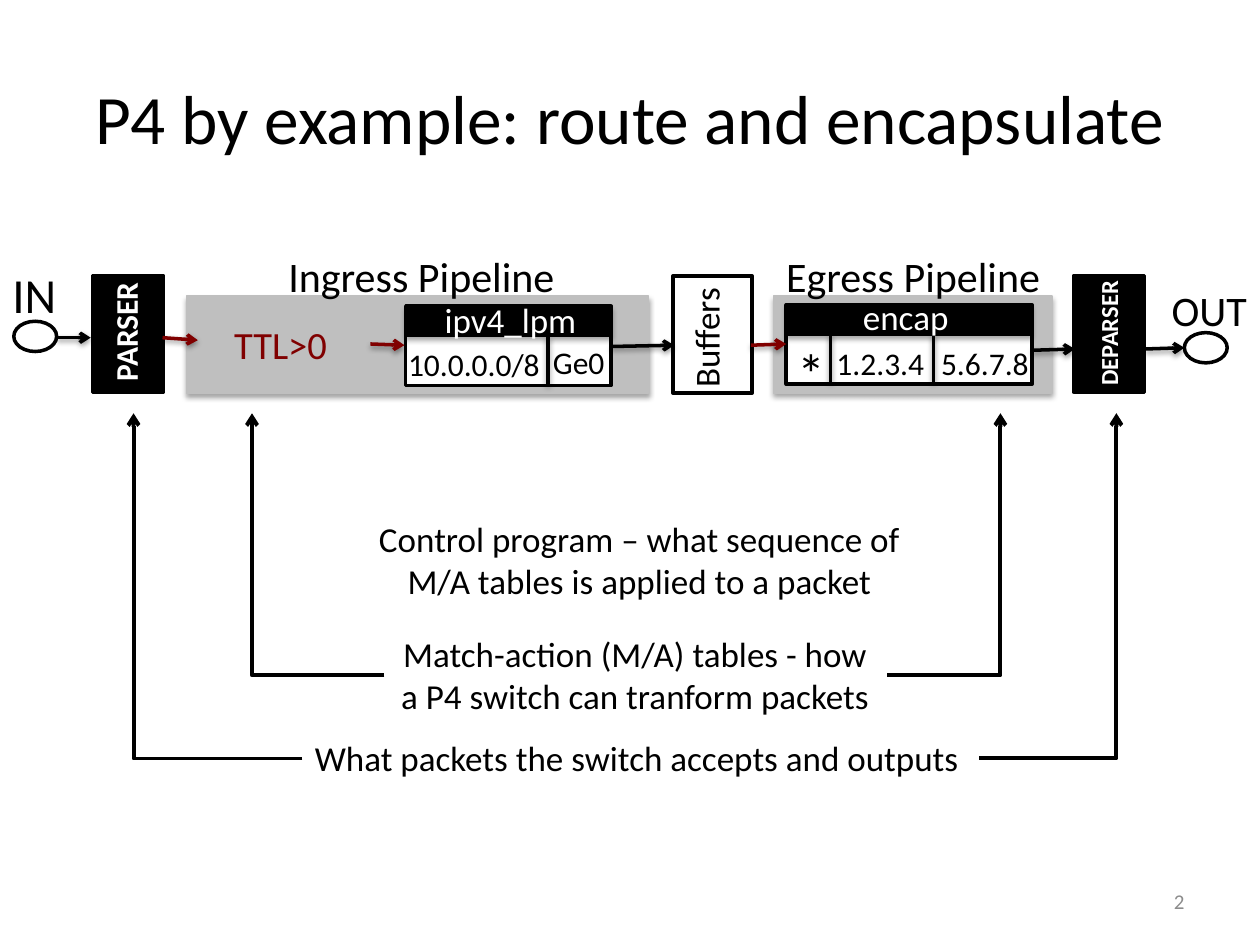
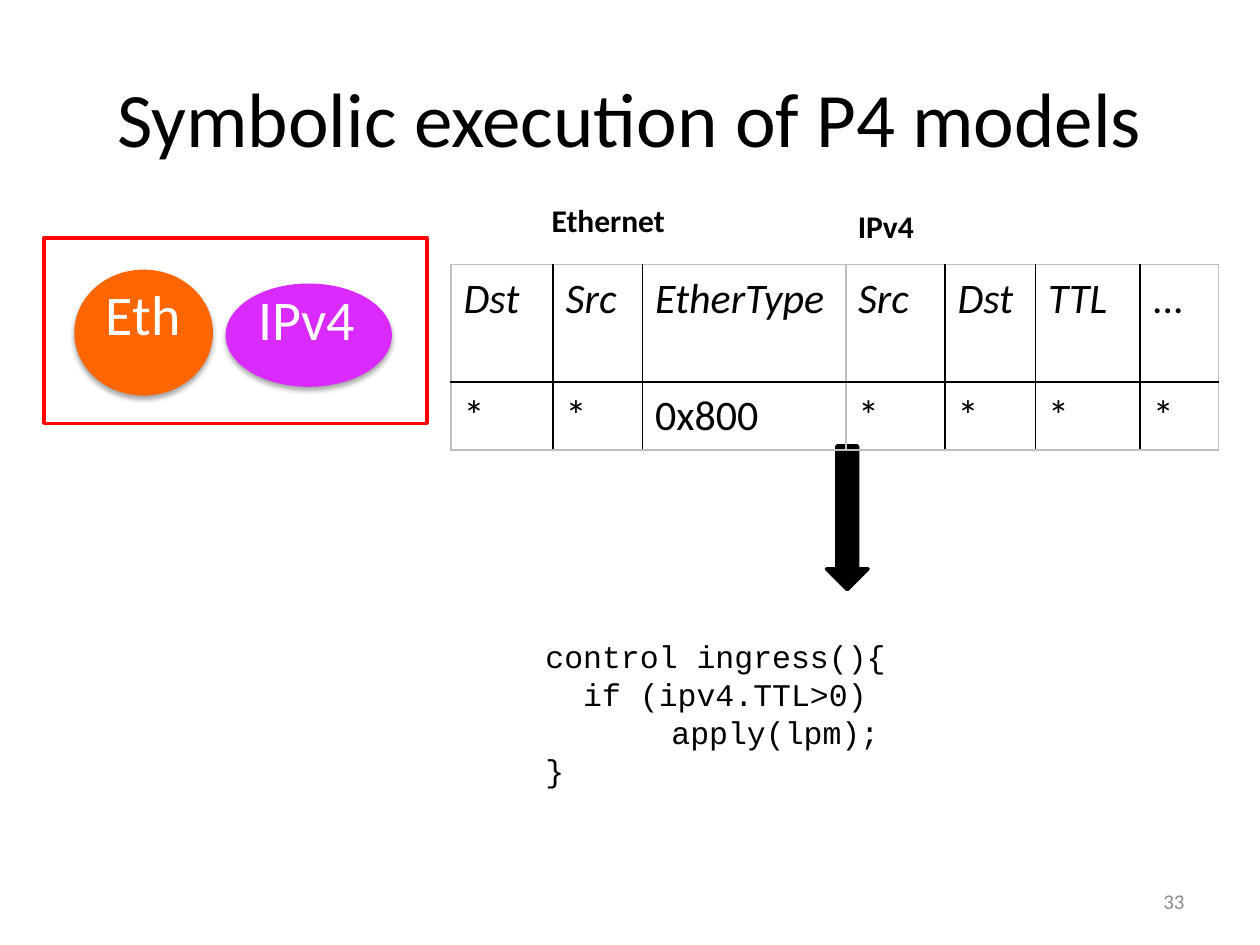
from lxml.etree import SubElement
from pptx import Presentation
from pptx.dml.color import RGBColor
from pptx.enum.shapes import MSO_CONNECTOR as MC, MSO_SHAPE as MS
from pptx.enum.text import MSO_ANCHOR as MA, PP_ALIGN as PA
from pptx.oxml.ns import qn
from pptx.util import Inches, Pt

BLACK = RGBColor(0x00, 0x00, 0x00)
WHITE = RGBColor(0xFF, 0xFF, 0xFF)
PANEL = RGBColor(0xBF, 0xBF, 0xBF)
NUMBER = RGBColor(0x8C, 0x8C, 0x8C)
MAROON = RGBColor(0x80, 0x00, 0x00)
RED = RGBColor(0xFF, 0x00, 0x00)
ORANGE = RGBColor(0xFF, 0x66, 0x00)
PURPLE = RGBColor(0xD9, 0x2A, 0xFF)
FONT, CODE = "Calibri", "Courier New"

prs = Presentation()
prs.slide_width, prs.slide_height = Inches(10), Inches(7.5)
COLS = 100
U = prs.slide_width // COLS


def write(tf, content, size, color=BLACK, bold=False, italic=False, align=None, font=FONT):
    for i, line in enumerate(content.split("\n")):
        p = tf.add_paragraph() if i else tf.paragraphs[0]
        p.alignment = align
        r = p.add_run()
        r.text = line
        r.font.name, r.font.size = font, Pt(size)
        r.font.bold, r.font.italic = bold, italic
        r.font.color.rgb = color


def set_effect(sp, dist=0, alpha=0):
    effects = SubElement(sp._element.spPr, qn("a:effectLst"))
    if alpha:
        shadow = SubElement(effects, qn("a:outerShdw"), blurRad=str(Pt(3.1)),
                            dist=str(Pt(dist)), dir="5400000", rotWithShape="0")
        clr = SubElement(shadow, qn("a:srgbClr"), val=str(BLACK))
        SubElement(clr, qn("a:alpha"), val=str(alpha * 1000))


slides = []
for title, size, number in (
    ("P4 by example: route and encapsulate", 39.6, "2"),
    ("Symbolic execution of P4 models", 44, "33"),
):
    s = prs.slides.add_slide(prs.slide_layouts[5])
    sp = s.shapes.title
    sp.left, sp.top, sp.width, sp.height = 5 * U, 3 * U, 90 * U, int(12.5 * U)
    sp.text_frame.vertical_anchor = MA.MIDDLE
    write(sp.text_frame, title, size, align=PA.CENTER)
    tf = s.shapes.add_textbox(int(71.7 * U), int(69.5 * U), int(23.3 * U), 4 * U).text_frame
    tf.word_wrap = True
    tf.vertical_anchor = MA.MIDDLE
    write(tf, number, 12, NUMBER, align=PA.RIGHT)
    slides.append(s)
pipeline, symbolic = slides

for s, kind, x, y, w, h, fill, line, width, shadow in (
    (pipeline, MS.RECTANGLE, 14.8, 23.5, 36.7, 7.7, PANEL, PANEL, 0.75, 35),
    (pipeline, MS.RECTANGLE, 61.4, 23.5, 22.1, 7.7, PANEL, PANEL, 0.75, 35),
    (pipeline, MS.RECTANGLE, 7.35, 21.85, 5.6, 9.3, BLACK, BLACK, 2, 0),
    (pipeline, MS.RECTANGLE, 53.4, 21.9, 6.3, 9.3, WHITE, BLACK, 2, 0),
    (pipeline, MS.RECTANGLE, 85.25, 21.85, 5.6, 9.3, BLACK, BLACK, 2, 0),
    (pipeline, MS.RECTANGLE, 32.2, 24.3, 16.3, 6.3, WHITE, BLACK, 2, 0),
    (pipeline, MS.RECTANGLE, 32.2, 24.3, 16.3, 2.4, BLACK, BLACK, 0.75, 35),
    (pipeline, MS.RECTANGLE, 62.4, 24.2, 19.5, 6.3, WHITE, BLACK, 2, 0),
    (pipeline, MS.RECTANGLE, 62.4, 24.2, 19.5, 2.4, BLACK, BLACK, 0.75, 35),
    (pipeline, MS.OVAL, 1.1, 25.5, 3.4, 2.4, WHITE, BLACK, 2, 0),
    (pipeline, MS.OVAL, 94, 26.4, 3.4, 2.4, WHITE, BLACK, 2, 0),
    (symbolic, MS.FLOWCHART_CONNECTOR, 17.9, 22.5, 13.2, 8.2, PURPLE, None, 0, 35),
    (symbolic, MS.FLOWCHART_CONNECTOR, 5.9, 21.4, 11, 10, ORANGE, None, 0, 35),
    (symbolic, MS.RECTANGLE, 3.5, 18.9, 30.4, 14.7, None, RED, 2, 0),
    (symbolic, MS.DOWN_ARROW, 65.6, 35.4, 3.3, 11.4, BLACK, BLACK, 2, 0),
):
    sp = s.shapes.add_shape(kind, int(x * U), int(y * U), int(w * U), int(h * U))
    if fill is None:
        sp.fill.background()
    else:
        sp.fill.solid()
        sp.fill.fore_color.rgb = fill
    if line is None:
        sp.line.fill.background()
    else:
        sp.line.color.rgb = line
        sp.line.width = Pt(width)
    set_effect(sp, 1.8, shadow)

for x1, y1, x2, y2, color, arrow in (
    (4.5, 26.8, 7.2, 26.8, BLACK, True),
    (12.9, 26.8, 15.7, 27, MAROON, True),
    (29.4, 27.3, 32.1, 27.4, MAROON, True),
    (48.5, 27.5, 53.5, 27.4, BLACK, True),
    (59.6, 27.4, 62.4, 27.3, MAROON, True),
    (81.9, 27.8, 85.3, 27.7, BLACK, True),
    (90.9, 27.7, 94, 27.6, BLACK, True),
    (43.5, 26.7, 43.5, 30.5, BLACK, False),
    (65.9, 26.5, 65.9, 30.3, BLACK, False),
    (74.1, 26.5, 74.1, 30.3, BLACK, False),
):
    c = pipeline.shapes.add_connector(MC.STRAIGHT, int(x1 * U), int(y1 * U), int(x2 * U), int(y2 * U))
    c.line.color.rgb = color
    c.line.width = Pt(2)
    if arrow:
        SubElement(c.line._get_or_add_ln(), qn("a:tailEnd"), type="arrow")
    set_effect(c, 1.6, 38)

TIP = 32.8
for start, end, base in ((24, 10.6, 60.2), (77.7, 88.6, 60.2), (30.5, 20, 53.6), (70.4, 79.4, 53.6)):
    leftward = end < start
    x1, y1, x2, y2 = (end, TIP, start, base) if leftward else (start, base, end, TIP)
    c = pipeline.shapes.add_connector(MC.ELBOW, int(x1 * U), int(y1 * U), int(x2 * U), int(y2 * U))
    spPr = c._element.spPr
    spPr.find(qn("a:prstGeom")).set("prst", "bentConnector2")
    if leftward:
        spPr.find(qn("a:xfrm")).set("rot", "10800000")
    c.line.color.rgb = BLACK
    c.line.width = Pt(2.25)
    SubElement(c.line._get_or_add_ln(), qn("a:tailEnd"), type="arrow")
    set_effect(c)

for s, content, x, y, w, h, size, color, bold, align, rotation in (
    (pipeline, "What packets the switch accepts and outputs", 24, 58, 53.6, 4.4, 20, BLACK, False, None, 0),
    (pipeline, "Match-action (M/A) tables - how\na P4 switch can tranform packets",
     30.5, 49.7, 39.8, 7.7, 20, BLACK, False, PA.CENTER, 0),
    (pipeline, "Control program – what sequence of\nM/A tables is applied to a packet",
     28.9, 40.6, 43.7, 7.7, 20, BLACK, False, PA.CENTER, 0),
    (pipeline, "Ingress Pipeline", 21.9, 19.4, 23.4, 5, 24, BLACK, False, None, 0),
    (pipeline, "Egress Pipeline", 61.4, 19.4, 22.4, 5, 24, BLACK, False, None, 0),
    (pipeline, "IN", 0, 20.5, 5.5, 5.7, 28, BLACK, False, None, 0),
    (pipeline, "OUT", 92, 22.1, 8.1, 5, 24, BLACK, False, None, 0),
    (pipeline, "TTL>0", 17.6, 25, 9.5, 4.7, 22, MAROON, False, None, 0),
    (pipeline, "ipv4_lpm", 34.3, 23.2, 12.6, 4.4, 20, WHITE, False, None, 0),
    (pipeline, "10.0.0.0/8", 31.4, 26.9, 12.6, 4, 18, BLACK, False, None, 0),
    (pipeline, "Ge0", 42.9, 26.7, 6.2, 4, 18, BLACK, False, None, 0),
    (pipeline, "encap", 67.5, 23, 8.9, 4.4, 20, WHITE, False, None, 0),
    (pipeline, "*", 62.3, 26.4, 4.3, 6.4, 32, BLACK, False, None, 0),
    (pipeline, "1.2.3.4", 65.4, 26.8, 9.2, 4, 18, BLACK, False, None, 0),
    (pipeline, "5.6.7.8", 73.7, 26.8, 9.2, 4, 18, BLACK, False, None, 0),
    (pipeline, "Buffers", 51, 24.5, 10.1, 4.4, 20, BLACK, False, None, 270),
    (pipeline, "PARSER", 4.8, 24.1, 10.3, 4, 18, WHITE, True, None, 270),
    (pipeline, "DEPARSER", 82.8, 24.7, 10.4, 3.4, 14, WHITE, True, None, 270),
    (symbolic, "IPv4", 19.5, 22.1, 9.8, 6.4, 32, WHITE, False, None, 0),
    (symbolic, "Eth", 7.4, 21.7, 8.1, 6.4, 32, WHITE, False, None, 0),
    (symbolic, "Ethernet", 42.8, 15.5, 11.1, 4, 18, BLACK, True, None, 0),
    (symbolic, "IPv4", 67.1, 15.9, 6.5, 4, 18, BLACK, True, None, 0),
):
    sp = s.shapes.add_textbox(int(x * U), int(y * U), int(w * U), int(h * U))
    sp.rotation = rotation
    sp.text_frame.word_wrap = False
    write(sp.text_frame, content, size, color, bold, align=align)

tf = symbolic.shapes.add_textbox(int(42.3 * U), int(50.1 * U), int(50.9 * U), int(13.1 * U)).text_frame
tf.word_wrap = True
write(tf, "control ingress(){\nif (ipv4.TTL>0)\napply(lpm);\n}", 18, font=CODE)
for p, indent in zip(tf.paragraphs, (0, 3, 10, 0)):
    p._p.get_or_add_pPr().set("marL", str(indent * U))

ROWS = (9.3, 5.4)
for left, widths, rows in (
    (35.8, (8.1, 7.1, 16.2), (("Dst", "Src", "EtherType"), ("*", "*", "0x800"))),
    (67.1, (7.9, 7.2, 8.3, 6.2), (("Src", "Dst", "TTL", "..."), ("*",) * 4)),
):
    table = symbolic.shapes.add_table(len(ROWS), len(widths), int(left * U), 21 * U,
                                      int(sum(widths) * U), int(sum(ROWS) * U)).table
    table.first_row = table.horz_banding = False
    for col, w in zip(table.columns, widths):
        col.width = int(w * U)
    for i, (row, h) in enumerate(zip(table.rows, ROWS)):
        row.height = int(h * U)
        for j, cell in enumerate(row.cells):
            cell.margin_left = cell.margin_right = U
            cell.margin_top = cell.margin_bottom = int(0.7 * U)
            write(cell.text_frame, rows[i][j], 24, italic=i == 0)
            outer = {"L": j == 0, "R": j == len(widths) - 1, "T": i == 0, "B": i == len(ROWS) - 1}
            for side, is_outer in outer.items():
                ln = SubElement(cell._tc.get_or_add_tcPr(), qn("a:ln" + side), w=str(Pt(1)))
                fill = SubElement(ln, qn("a:solidFill"))
                SubElement(fill, qn("a:srgbClr"), val=str(PANEL if is_outer else BLACK))
            cell.fill.background()

prs.save("out.pptx")
